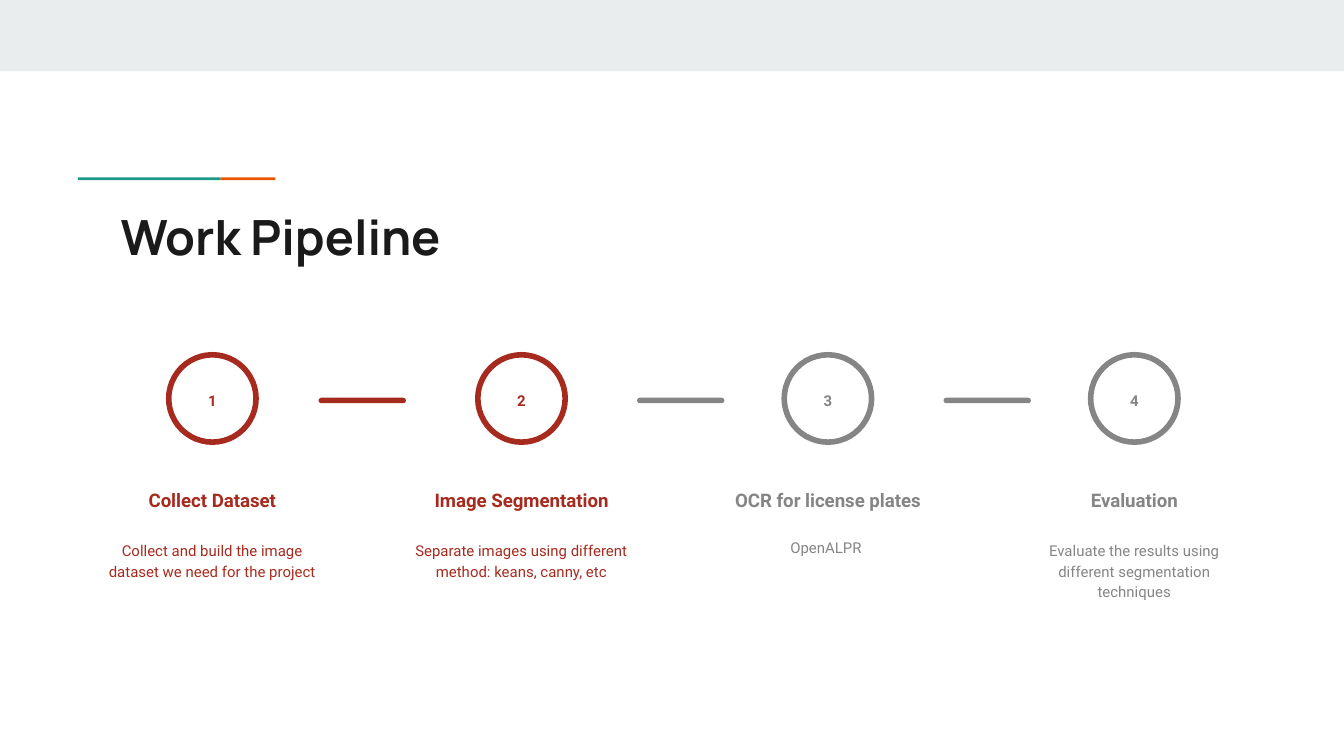
from dataclasses import dataclass
from typing import Optional

import pptx
import pptx.dml.color
import pptx.enum.shapes
import pptx.enum.text
import pptx.util

Inches = pptx.util.Inches
Pt = pptx.util.Pt
SHAPE = pptx.enum.shapes.MSO_SHAPE
ALIGN = pptx.enum.text.PP_ALIGN
ANCHOR = pptx.enum.text.MSO_ANCHOR


@dataclass(frozen=True)
class Theme:
    band: str = "E9EDEE"
    teal: str = "1A9988"
    orange: str = "EB5600"
    ink: str = "1A1A1A"
    done: str = "A72A1E"
    pending: str = "858585"
    title_font: str = "Manrope"
    body_font: str = "Roboto"
    title_size: float = 26
    heading_size: float = 10
    body_size: float = 8
    ring_width: float = 3


THEME = Theme()


@dataclass(frozen=True)
class Box:
    left: float
    top: float
    width: float
    height: float

    def emu(self) -> tuple:
        return tuple(Inches(v) for v in (self.left, self.top, self.width, self.height))


@dataclass(frozen=True)
class Step:
    center: float
    color: str
    heading: str
    detail: str
    link_left: Optional[float] = None  # left end of the bar leading to this step


STEPS = [
    Step(1.58, THEME.done, "Collect Dataset",
         "Collect and build the image dataset we need for the project"),
    Step(3.88, THEME.done, "Image Segmentation",
         "Separate images using different method: keans, canny, etc", 2.37),
    Step(6.16, THEME.pending, "OCR for license plates", "OpenALPR ", 4.74),
    Step(8.44, THEME.pending, "Evaluation",
         "Evaluate the results using different segmentation techniques", 7.02),
]


def rgb(color: str) -> pptx.dml.color.RGBColor:
    return pptx.dml.color.RGBColor.from_string(color)


def add_bar(shapes, box: Box, color: str, kind=SHAPE.RECTANGLE):
    sp = shapes.add_shape(kind, *box.emu())
    sp.shadow.inherit = False
    sp.fill.solid()
    sp.fill.fore_color.rgb = rgb(color)
    sp.line.fill.background()
    return sp


def add_ring(shapes, box: Box, color: str) -> None:
    sp = shapes.add_shape(SHAPE.OVAL, *box.emu())
    sp.shadow.inherit = False
    sp.fill.background()
    sp.line.color.rgb = rgb(color)
    sp.line.width = Pt(THEME.ring_width)


def add_text(shapes, box: Box, text: str, color: str, size: float,
             font: str = THEME.body_font, bold: bool = False,
             anchor=ANCHOR.TOP, **paragraph_format) -> None:
    tf = shapes.add_textbox(*box.emu()).text_frame
    margins = {f"margin_{side}": Inches(0.1) for side in ("left", "right", "top", "bottom")}
    p = tf.paragraphs[0]
    r = p.add_run()
    r.text = text
    formats = [
        (tf, {"word_wrap": True, "vertical_anchor": anchor, **margins}),
        (p, {"space_before": Pt(0), **paragraph_format}),
        (r.font, {"name": font, "size": Pt(size), "bold": bold}),
    ]
    for target, values in formats:
        for name, value in values.items():
            setattr(target, name, value)
    r.font.color.rgb = rgb(color)


def add_step(s, number: int, step: Step) -> None:
    # Bar from the previous step
    if step.link_left is not None:
        link = add_bar(s.shapes, Box(step.link_left, 2.96, 0.65, 0.04),
                       step.color, SHAPE.ROUNDED_RECTANGLE)
        link.adjustments[0] = 0.5

    def centered(top: float, width: float, height: float) -> Box:
        return Box(step.center - width / 2, top, width, height)

    # Ring, number, heading and detail share one centre line
    shapes = s.shapes.add_group_shape().shapes
    heading = {"color": step.color, "alignment": ALIGN.CENTER, "line_spacing": 1.15}
    body = {**heading, "size": THEME.body_size, "space_after": Pt(16)}
    add_ring(shapes, centered(2.64, 0.65, 0.65), step.color)
    add_text(shapes, centered(2.82, 0.48, 0.35), str(number), bold=True, **body)
    add_text(shapes, centered(3.41, 1.87, 0.49), step.heading,
             size=THEME.heading_size, bold=True, anchor=ANCHOR.BOTTOM, **heading)
    add_text(shapes, centered(3.91, 1.87, 0.81), step.detail, **body)


def main() -> None:
    prs = pptx.Presentation()
    # 16:9 page
    prs.slide_width = Inches(10)
    prs.slide_height = prs.slide_width * 9 // 16
    s = prs.slides.add_slide(prs.slide_layouts[6])

    # Top band and two-colour accent rule
    add_bar(s.shapes, Box(0, 0, 10, 0.53), THEME.band)
    add_bar(s.shapes, Box(1.64, 1.32, 0.41, 0.02), THEME.orange)
    add_bar(s.shapes, Box(0.58, 1.32, 1.06, 0.02), THEME.teal)

    # Title
    add_text(s.shapes, Box(0.8, 1.44, 8.41, 0.59), "Work Pipeline", THEME.ink,
             THEME.title_size, THEME.title_font, bold=True)

    # Pipeline
    for number, step in enumerate(STEPS, start=1):
        add_step(s, number, step)

    prs.save("out.pptx")


if __name__ == "__main__":
    main()
